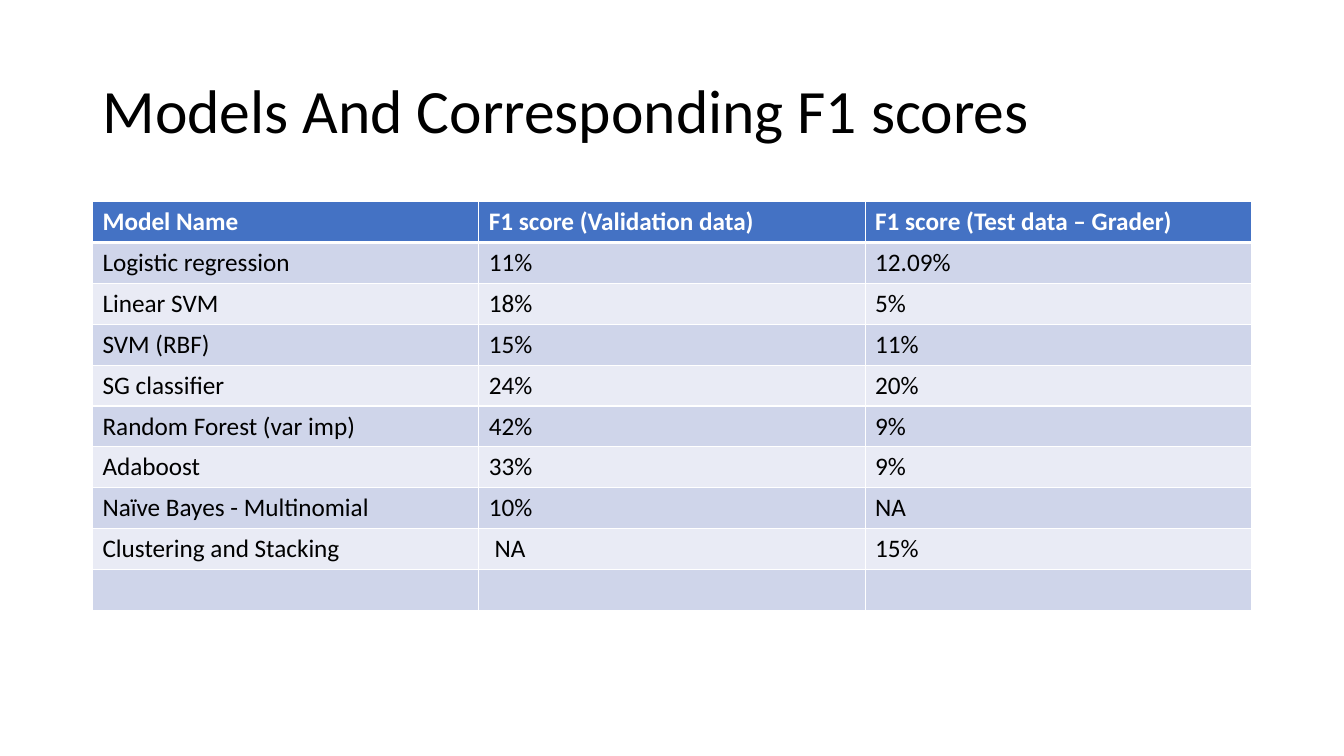
import dataclasses

import pptx
import pptx.dml.color
import pptx.enum.text
import pptx.oxml
import pptx.oxml.ns
import pptx.util

FONT = "Calibri"
WHITE, BLACK, HEADER_BLUE = "FFFFFF", "000000", "4472C4"
BANDS = ("CFD5EA", "E9EBF5")
LEFT, WIDTH = pptx.util.Cm(2.33), pptx.util.Cm(29.21)
ROW_HEIGHT = pptx.util.Cm(1.03)


@dataclasses.dataclass(frozen=True)
class ModelScore:
    model: str
    validation: str
    test: str


SCORES = (
    ModelScore("Model Name", "F1 score (Validation data)", "F1 score (Test data – Grader)"),
    ModelScore("Logistic regression", "11%", "12.09%"),
    ModelScore("Linear SVM", "18%", "5%"),
    ModelScore("SVM (RBF)", "15%", "11%"),
    ModelScore("SG classifier", "24%", "20%"),
    ModelScore("Random Forest (var imp)", "42%", "9%"),
    ModelScore("Adaboost", "33%", "9%"),
    ModelScore("Naïve Bayes - Multinomial", "10%", "NA"),
    ModelScore("Clustering and Stacking", " NA", "15%"),
    ModelScore("", "", ""),
)


def rgb(color: str) -> pptx.dml.color.RGBColor:
    return pptx.dml.color.RGBColor.from_string(color)


def format_text(frame, size: float, color: str, bold: bool) -> None:
    for paragraph in frame.paragraphs:
        for run in paragraph.runs:
            values = {"name": FONT, "size": pptx.util.Pt(size), "bold": bold}
            for attribute, value in values.items():
                setattr(run.font, attribute, value)
            run.font.color.rgb = rgb(color)


def add_borders(cell, top: float, bottom: float) -> None:
    properties = cell._tc.get_or_add_tcPr()
    widths = {"lnL": 1, "lnR": 1, "lnT": top, "lnB": bottom}
    for side, points in widths.items():
        properties.append(pptx.oxml.parse_xml(
            f'<a:{side} {pptx.oxml.ns.nsdecls("a")} w="{pptx.util.Pt(points)}">'
            f'<a:solidFill><a:srgbClr val="{WHITE}"/></a:solidFill></a:{side}>'
        ))


def add_title(slide, text: str) -> None:
    title = slide.shapes.title
    place = {"left": LEFT, "top": pptx.util.Cm(1.01), "width": WIDTH, "height": pptx.util.Cm(3.68)}
    for attribute, value in place.items():
        setattr(title, attribute, value)
    frame = title.text_frame
    frame.text = text
    frame.vertical_anchor = pptx.enum.text.MSO_ANCHOR.MIDDLE
    frame.paragraphs[0].alignment = pptx.enum.text.PP_ALIGN.LEFT
    frame.paragraphs[0].line_spacing = 0.9
    format_text(frame, 44, BLACK, False)


def add_score_table(slide, scores: tuple[ModelScore, ...]) -> None:
    columns = len(dataclasses.fields(ModelScore))
    table = slide.shapes.add_table(
        len(scores), columns, LEFT, pptx.util.Cm(5.08), WIDTH, ROW_HEIGHT * len(scores)
    ).table
    for row, score in enumerate(scores):
        header = row == 0
        for column, text in enumerate(dataclasses.astuple(score)):
            cell = table.cell(row, column)
            cell.text = text
            format_text(cell.text_frame, 18, WHITE if header else BLACK, header)
            add_borders(cell, top=3 if row == 1 else 1, bottom=3 if header else 1)
            cell.fill.solid()
            cell.fill.fore_color.rgb = rgb(HEADER_BLUE if header else BANDS[(row - 1) % 2])


def main() -> None:
    """Build the slide of models and their F1 scores."""
    deck = pptx.Presentation()
    deck.slide_width, deck.slide_height = pptx.util.Cm(33.87), pptx.util.Cm(19.05)
    slide = deck.slides.add_slide(deck.slide_layouts.get_by_name("Title Only"))
    add_title(slide, "Models And Corresponding F1 scores")
    add_score_table(slide, SCORES)
    deck.save("out.pptx")


if __name__ == "__main__":
    main()
